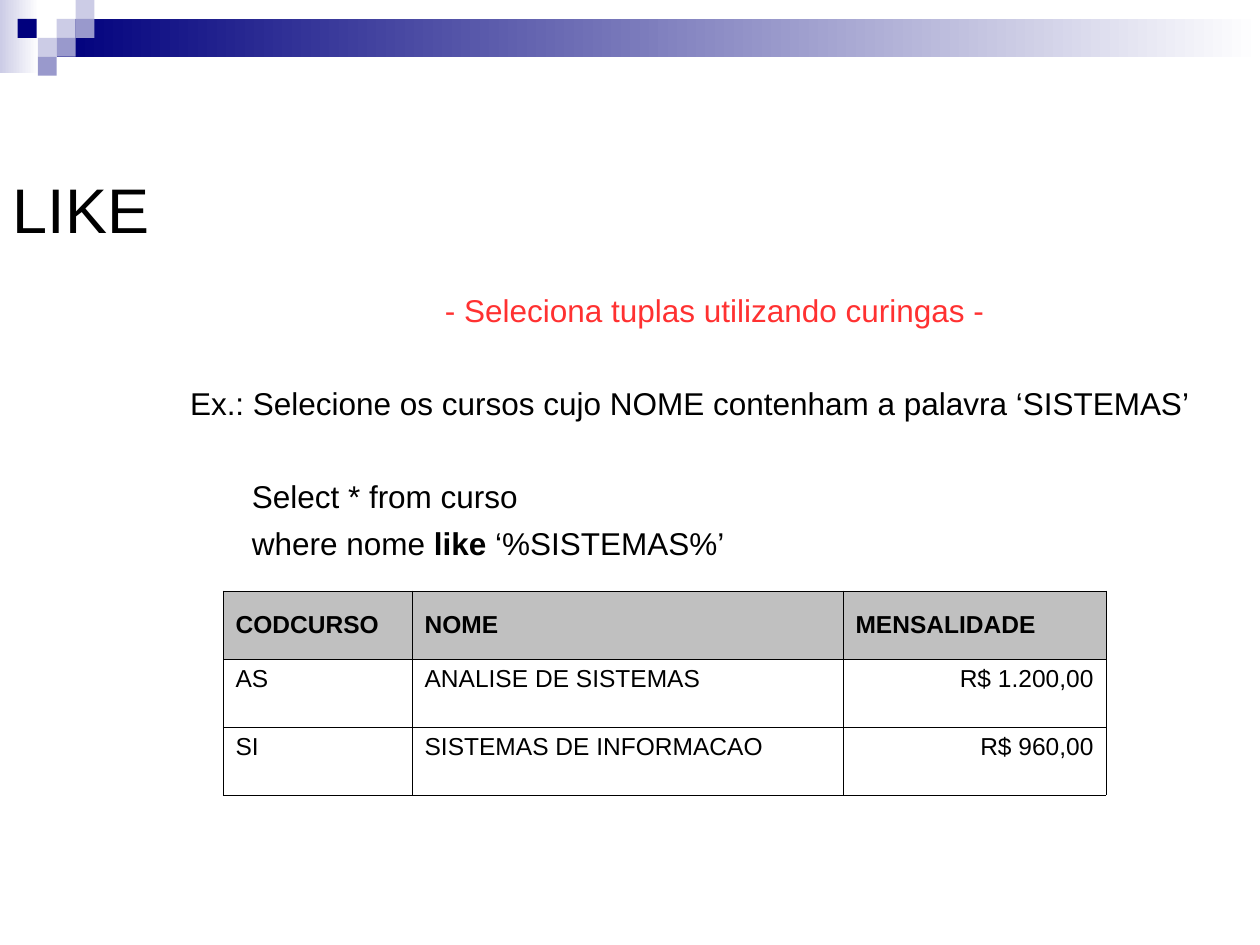
from typing import NamedTuple

from lxml.etree import SubElement
from pptx import Presentation
from pptx.dml.color import RGBColor
from pptx.enum.shapes import MSO_SHAPE
from pptx.enum.text import MSO_ANCHOR, PP_ALIGN
from pptx.oxml.ns import qn
from pptx.util import Inches, Pt

BLACK = RGBColor(0x00, 0x00, 0x00)
WHITE = RGBColor(0xFF, 0xFF, 0xFF)
RED = RGBColor(0xFF, 0x31, 0x31)
GREY = RGBColor(0xC0, 0xC0, 0xC0)
NAVY = RGBColor(0x00, 0x00, 0x7D)
LILAC = RGBColor(0xCC, 0xCC, 0xE6)
VIOLET = RGBColor(0x99, 0x99, 0xCC)
FONT = "Arial"
TILE = 0.15
LINE_GAP = 5.5
BLOCK_GAP = 31.5  # one empty 18 pt line between two line gaps
BORDER_WIDTH = Pt(0.34)


class Block(NamedTuple):
    left: float
    top: float
    width: float
    height: float
    color: RGBColor
    fades: bool = False


class Line(NamedTuple):
    runs: tuple[str, ...]  # every second run is bold
    before: float = 0
    indent: float = 0
    color: RGBColor = BLACK
    align: PP_ALIGN = PP_ALIGN.LEFT


def tile(left: float, row: int, color: RGBColor) -> Block:
    return Block(left, row * TILE, TILE, TILE, color)


BANNER = [
    Block(0, 0, 0.31, 0.58, LILAC, fades=True),
    Block(0.45, 0.15, 9.55, 0.3, NAVY, fades=True),
    tile(0.45, 1, LILAC),
    tile(0.6, 0, LILAC),
    tile(0.6, 1, VIOLET),
    tile(0.3, 2, LILAC),
    tile(0.14, 1, NAVY),
    tile(0.45, 2, VIOLET),
    tile(0.3, 3, VIOLET),
]
LINES = [
    Line(("- Seleciona tuplas utilizando curingas - ",), color=RED, align=PP_ALIGN.CENTER),
    Line(("Ex.: Selecione os cursos cujo NOME contenham a palavra ‘SISTEMAS’",), BLOCK_GAP),
    Line(("Select * from curso",), BLOCK_GAP, 0.49),
    Line(("where nome ", "like", " ‘%SISTEMAS%’"), LINE_GAP, 0.49),
]
COURSES = [
    ("CODCURSO", "NOME", "MENSALIDADE"),
    ("AS", "ANALISE DE SISTEMAS", "R$ 1.200,00"),
    ("SI", "SISTEMAS DE INFORMACAO", "R$ 960,00"),
]
COLUMN_WIDTHS = (1.5, 3.42, 2.09)
ROW_HEIGHT = 0.54


def add_text(p, text: str, *, size: float, color: RGBColor = BLACK,
             bold: bool = False, align: PP_ALIGN = PP_ALIGN.LEFT) -> None:
    p.alignment = align
    r = p.add_run()
    r.text = text
    r.font.name = FONT
    r.font.size = Pt(size)
    r.font.bold = bold
    r.font.color.rgb = color


def add_block(s, block: Block) -> None:
    sp = s.shapes.add_shape(MSO_SHAPE.RECTANGLE, *(Inches(v) for v in block[:4]))
    sp.shadow.inherit = False
    sp.line.fill.background()
    if block.fades:
        sp.fill.gradient()
        sp.fill.gradient_angle = 0
        for stop, color in zip(sp.fill.gradient_stops, (block.color, WHITE)):
            stop.color.rgb = color
    else:
        sp.fill.solid()
        sp.fill.fore_color.rgb = block.color


def set_title(s, text: str) -> None:
    sp = s.shapes.title
    sp.left, sp.top, sp.width, sp.height = (Inches(v) for v in (0, 0.5, 9, 1.5))
    tf = sp.text_frame
    tf.vertical_anchor = MSO_ANCHOR.BOTTOM
    add_text(tf.paragraphs[0], text, size=36)


def add_body(s, lines: list[Line]) -> None:
    sp = s.shapes.add_textbox(Inches(1.41), Inches(2.26), Inches(8.59), Inches(2.28))
    tf = sp.text_frame
    tf.word_wrap = True
    for i, line in enumerate(lines):
        p = tf.add_paragraph() if i else tf.paragraphs[0]
        p.space_before = Pt(line.before)
        if line.indent:
            p._p.get_or_add_pPr().set("marL", str(Inches(line.indent)))
        for j, text in enumerate(line.runs):
            add_text(p, text, size=18, color=line.color, bold=j % 2 == 1, align=line.align)


def add_borders(cell) -> None:
    tc_pr = cell._tc.get_or_add_tcPr()
    for side in ("a:lnL", "a:lnR", "a:lnT", "a:lnB"):
        ln = SubElement(tc_pr, qn(side), w=str(BORDER_WIDTH))
        fill = SubElement(ln, qn("a:solidFill"))
        SubElement(fill, qn("a:srgbClr"), val=str(BLACK))


def add_course_table(s) -> None:
    table = s.shapes.add_table(
        len(COURSES), len(COLUMN_WIDTHS), Inches(1.77), Inches(4.69),
        Inches(sum(COLUMN_WIDTHS)), Inches(ROW_HEIGHT * len(COURSES))).table
    for column, width in zip(table.columns, COLUMN_WIDTHS):
        column.width = Inches(width)
    for i, values in enumerate(COURSES):
        table.rows[i].height = Inches(ROW_HEIGHT)
        header = i == 0
        for j, text in enumerate(values):
            cell = table.cell(i, j)
            add_borders(cell)
            cell.fill.solid()
            cell.fill.fore_color.rgb = GREY if header else WHITE
            cell.vertical_anchor = MSO_ANCHOR.MIDDLE if header else MSO_ANCHOR.TOP
            price = j == 2 and not header
            add_text(cell.text_frame.paragraphs[0], text, size=14, bold=header,
                     align=PP_ALIGN.RIGHT if price else PP_ALIGN.LEFT)


def main() -> None:
    prs = Presentation()
    prs.slide_width, prs.slide_height = Inches(10), Inches(7.5)
    s = prs.slides.add_slide(prs.slide_layouts[5])
    for block in BANNER:
        add_block(s, block)
    set_title(s, "LIKE")
    add_body(s, LINES)
    add_course_table(s)
    prs.save("out.pptx")


if __name__ == "__main__":
    main()
